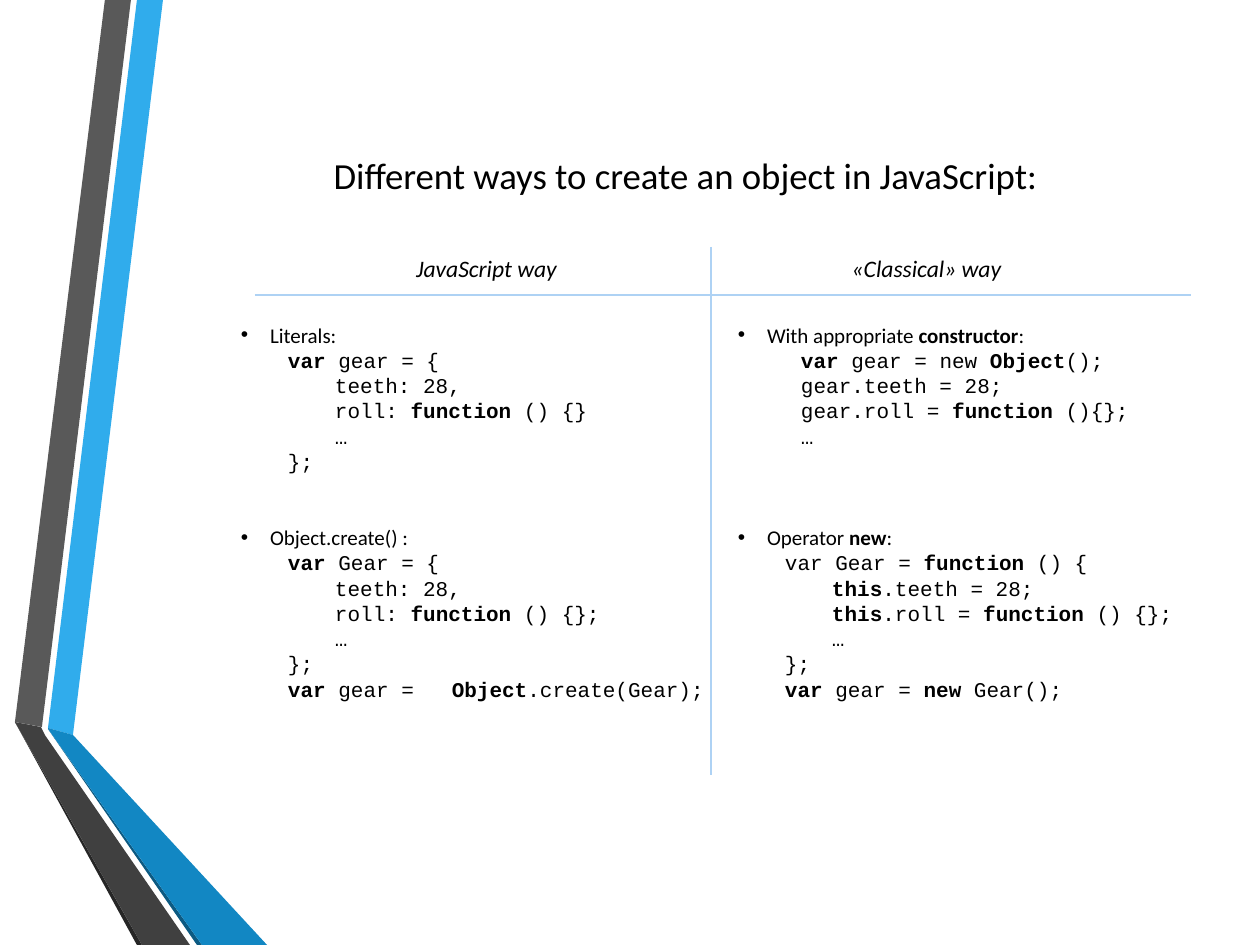
from lxml.etree import SubElement
from pptx import Presentation
from pptx.dml.color import RGBColor
from pptx.enum.shapes import MSO_CONNECTOR as Connector
from pptx.enum.text import MSO_ANCHOR as Anchor, MSO_AUTO_SIZE as AutoSize, PP_ALIGN as Align
from pptx.oxml.ns import qn
from pptx.util import Pt

SCALE = 914400 / 126

BLACK = RGBColor(0x00, 0x00, 0x00)
RULE = RGBColor(0xAE, 0xD2, 0xF4)
BLUE = RGBColor(0x30, 0xAC, 0xEC)
BLUE_FOLD = RGBColor(0x12, 0x87, 0xC3)
BLUE_EDGE = RGBColor(0x0C, 0x5A, 0x82)
GRAY = RGBColor(0x59, 0x59, 0x59)
GRAY_FOLD = RGBColor(0x40, 0x40, 0x40)
GRAY_EDGE = RGBColor(0x26, 0x26, 0x26)

TEXT_FONT = "Calibri"
CODE_FONT = "Courier New"
LINE_PITCH = 14.45
BULLET_INDENT = 29
TAB = 47
CONSTRUCTOR_INDENT = 63

RIBBONS = [
    (BLUE, [(48, 728), (73, 735), (163, 0), (137, 0)]),
    (GRAY, [(131, 0), (105, 0), (15, 722), (42, 727)]),
    (GRAY_EDGE, [(15, 722), (137, 945), (142, 945)]),
    (BLUE_EDGE, [(48, 729), (197, 945), (202, 945)]),
    (BLUE_FOLD, [(48, 729), (202, 945), (267, 945), (73, 735), (48, 728)]),
    (GRAY_FOLD, [(190, 945), (45, 735), (41, 727), (15, 722), (142, 945)]),
]

JAVASCRIPT_WAY = [
    ("Literals:", 0, [
        (TAB, "**var** gear = {"),
        (2 * TAB, "teeth: 28,"),
        (2 * TAB, "roll: **function** () {}"),
        (2 * TAB, "…"),
        (TAB, "};"),
    ]),
    ("Object.create() :", 2, [
        (TAB, "**var** Gear = {"),
        (2 * TAB, "teeth: 28,"),
        (2 * TAB, "roll: **function** () {};"),
        (2 * TAB, "…"),
        (TAB, "};"),
        (TAB, "**var** gear =   **Object**.create(Gear);"),
    ]),
]

CLASSICAL_WAY = [
    ("With appropriate **constructor**:", 0, [
        (CONSTRUCTOR_INDENT, "**var** gear = new **Object**();"),
        (CONSTRUCTOR_INDENT, "gear.teeth = 28;"),
        (CONSTRUCTOR_INDENT, "gear.roll = **function** (){};"),
        (CONSTRUCTOR_INDENT, "…"),
    ]),
    ("Operator **new**:", 3, [
        (TAB, "var Gear = **function** () {"),
        (2 * TAB, "**this**.teeth = 28;"),
        (2 * TAB, "**this**.roll = **function** () {};"),
        (2 * TAB, "…"),
        (TAB, "};"),
        (TAB, "**var** gear = **new** Gear();"),
    ]),
]


def px(length):
    return round(length * SCALE)


def place(holder, box, wrap=True):
    holder.left, holder.top, holder.width, holder.height = map(px, box)
    frame = holder.text_frame
    frame.word_wrap = wrap
    frame.auto_size = AutoSize.NONE
    frame.vertical_anchor = Anchor.TOP
    frame.margin_left = frame.margin_right = px(13)
    frame.margin_top = frame.margin_bottom = px(6)
    return frame


def add_spans(para, text, size, font, italic=False):
    for index, part in enumerate(text.split("**")):
        if part:
            span = para.add_run()
            span.text = part
            span.font.name = font
            span.font.size = Pt(size)
            span.font.bold = index % 2 == 1
            span.font.italic = italic
            span.font.color.rgb = BLACK


def set_indent(para, margin, bullet=False):
    properties = para._p.get_or_add_pPr()
    properties.set("marL", str(px(margin)))
    properties.set("indent", str(-px(margin) if bullet else 0))
    if bullet:
        SubElement(properties, qn("a:buFont")).set("typeface", "Arial")
        SubElement(properties, qn("a:buChar")).set("char", "•")
    else:
        SubElement(properties, qn("a:buNone"))


def add_heading(holder, box, text, size, italic=False, wrap=True):
    para = place(holder, box, wrap).paragraphs[0]
    set_indent(para, 0)
    para.alignment = Align.CENTER
    para.space_before = Pt(0)
    add_spans(para, text, size, TEXT_FONT, italic)


def add_examples(holder, box, examples):
    frame = place(holder, box)
    lines = []
    for title, gap, code in examples:
        lines.append((BULLET_INDENT, title, TEXT_FONT, gap))
        lines += [(margin, text, CODE_FONT, 0) for margin, text in code]
    for index, (margin, text, font, gap) in enumerate(lines):
        para = frame.add_paragraph() if index else frame.paragraphs[0]
        set_indent(para, margin, font == TEXT_FONT)
        para.line_spacing = Pt(LINE_PITCH)
        para.space_before = Pt(gap * LINE_PITCH)
        add_spans(para, text, 12, font)


def add_column(heading, body, box, heading_left, title, examples):
    left, top, width, height = box
    add_heading(heading, (left + heading_left, top, 413, 42), title, 13.5, italic=True)
    add_examples(body, (left, top + 68, width, height - 68), examples)


def add_ribbons(page):
    for color, points in RIBBONS:
        builder = page.shapes.build_freeform(*points[0], scale=SCALE)
        builder.add_line_segments(points[1:], close=True)
        ribbon = builder.convert_to_shape()
        ribbon.shadow.inherit = False
        ribbon.fill.solid()
        ribbon.fill.fore_color.rgb = color
        ribbon.line.fill.background()


def add_rule(page, *ends):
    rule = page.shapes.add_connector(Connector.STRAIGHT, *map(px, ends))
    rule.line.color.rgb = RULE
    rule.line.width = Pt(0.75)
    SubElement(rule._element.spPr, qn("a:effectLst"))


def main():
    deck = Presentation()
    deck.slide_width, deck.slide_height = px(1260), px(945)
    page = deck.slides.add_slide(deck.slide_layouts[4])
    title, left_heading, left_body, right_heading, right_body = page.placeholders
    add_ribbons(page)
    add_heading(title, (309, 147, 753, 57),
                "Different ways to create an object in JavaScript:", 21, wrap=False)
    add_column(left_heading, left_body, (228, 248, 525, 500), 52,
               "JavaScript way", JAVASCRIPT_WAY)
    add_column(right_heading, right_body, (725, 248, 507, 488), -5,
               "«Classical» way", CLASSICAL_WAY)
    add_rule(page, 711, 247, 711, 775)
    add_rule(page, 255, 295, 1191, 295)
    deck.save("out.pptx")


if __name__ == "__main__":
    main()
